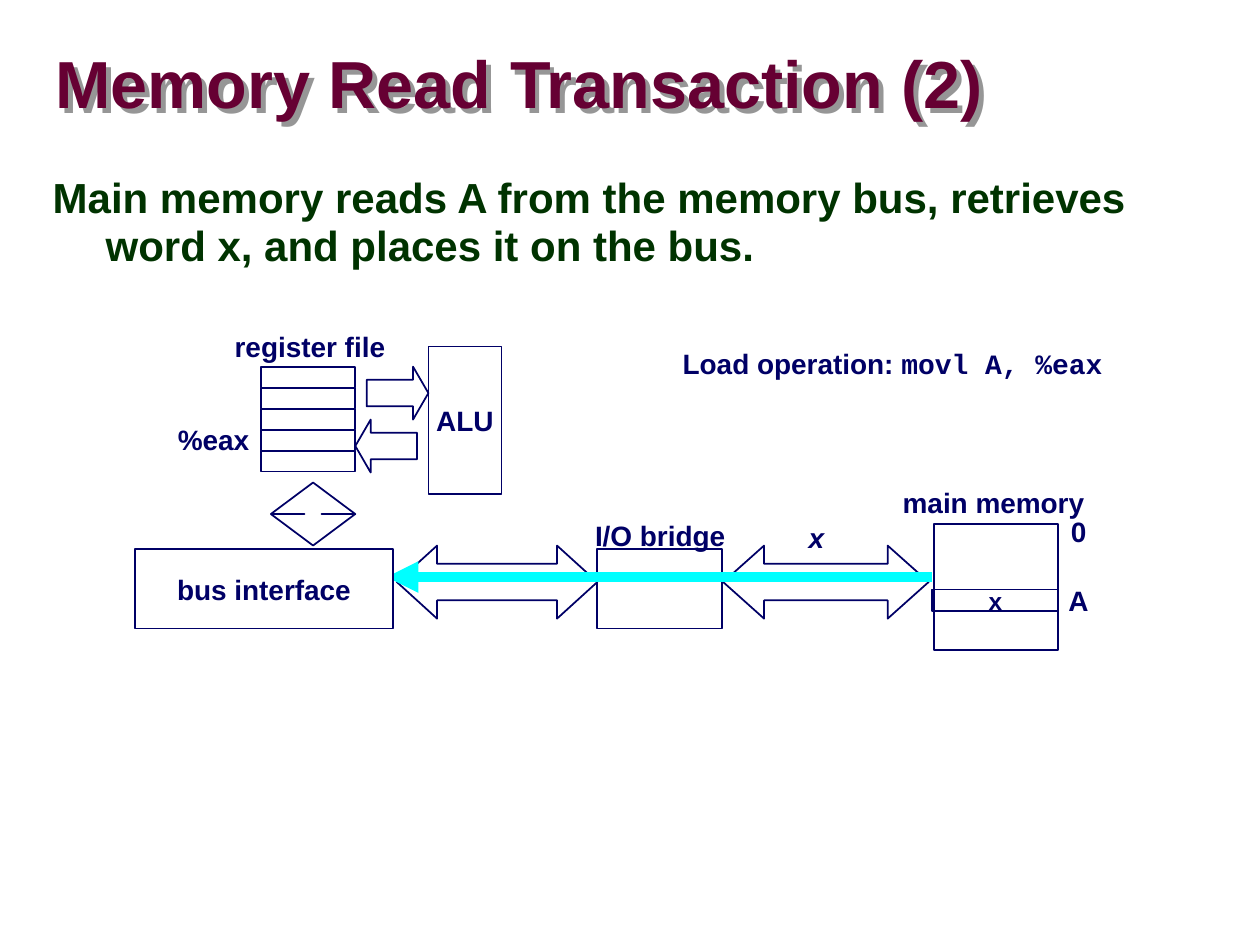
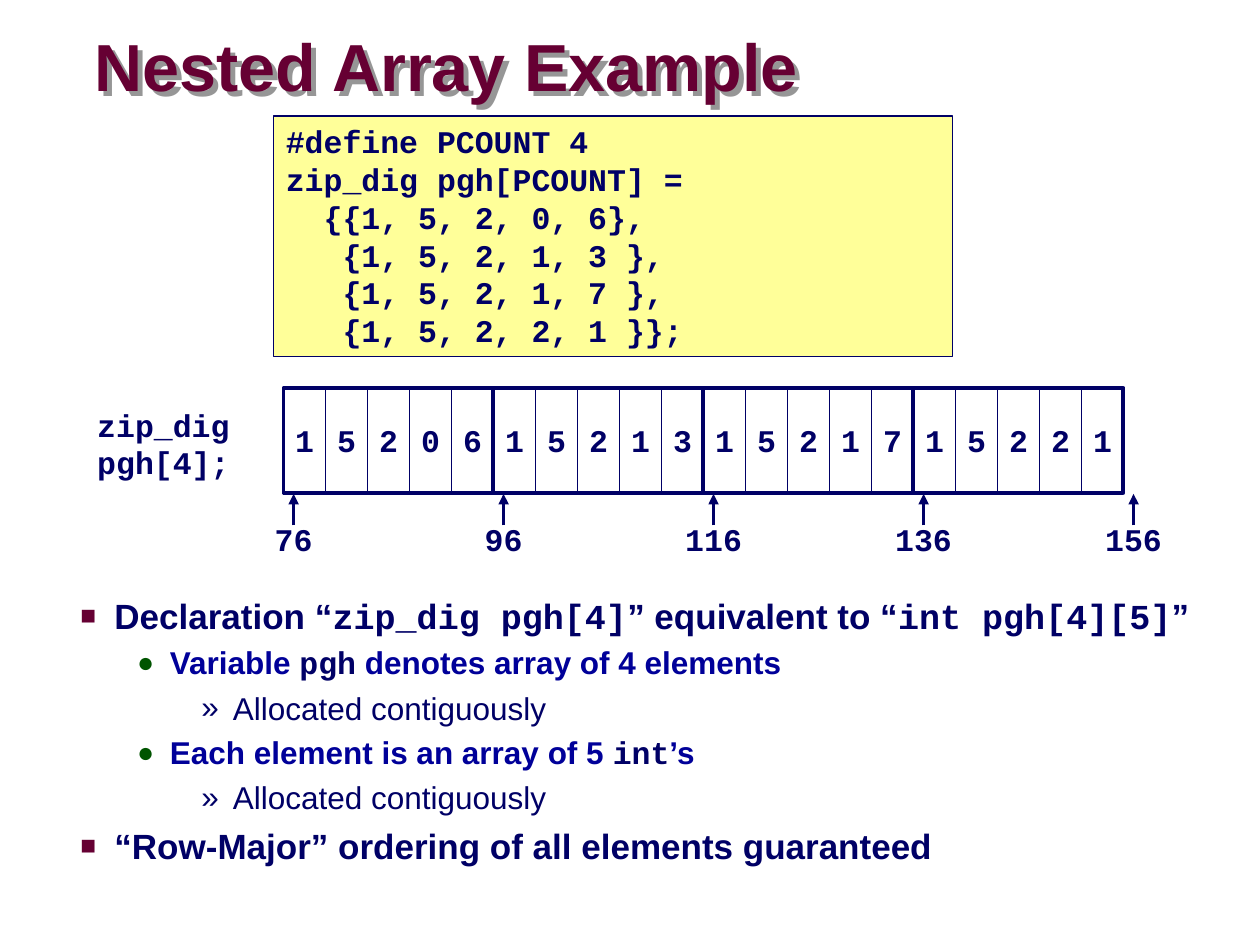
from lxml import etree
from pptx import Presentation
from pptx.dml.color import RGBColor
from pptx.enum.shapes import MSO_CONNECTOR, MSO_SHAPE
from pptx.enum.text import MSO_ANCHOR, PP_ALIGN
from pptx.oxml.ns import qn
from pptx.util import Inches, Pt

RECTANGLE = MSO_SHAPE.RECTANGLE
RIGHT_ARROW, LEFT_ARROW = MSO_SHAPE.RIGHT_ARROW, MSO_SHAPE.LEFT_ARROW
LEFT_RIGHT_ARROW, UP_DOWN_ARROW = MSO_SHAPE.LEFT_RIGHT_ARROW, MSO_SHAPE.UP_DOWN_ARROW
STRAIGHT = MSO_CONNECTOR.STRAIGHT
TOP, MIDDLE = MSO_ANCHOR.TOP, MSO_ANCHOR.MIDDLE
LEFT, CENTER, RIGHT = PP_ALIGN.LEFT, PP_ALIGN.CENTER, PP_ALIGN.RIGHT

# Shared colours and text formats
NAVY, MAROON, GREEN, BLUE = "000066", "660033", "003300", "000099"
BULLET_GREEN, CYAN, YELLOW, WHITE, GRAY = "005400", "00FFFF", "FFFF99", "FFFFFF", "969696"
LABEL = {"name": "Arial", "size": Pt(16), "bold": True, "color": NAVY}
CODE = {**LABEL, "name": "Courier New", "size": Pt(18)}
TITLE = {**LABEL, "size": Pt(38), "color": MAROON}
STATEMENT = {**LABEL, "size": Pt(24), "color": GREEN}
POINT = {**LABEL, "size": Pt(20)}
SUBPOINT = {**LABEL, "size": Pt(18), "color": BLUE}
DETAIL = {**LABEL, "size": Pt(18), "bold": False}

# Outline levels: bullet, its colour and size, indents and spacing
LEVELS = {
    1: {"mark": "■", "color": MAROON, "percent": 75, "left": 0.81, "hang": 0.27,
        "format": {"space_before": Pt(5)}},
    2: {"mark": "●", "color": BULLET_GREEN, "percent": 90, "left": 1.25, "hang": 0.26,
        "format": {"space_before": Pt(2.4), "line_spacing": 1.07}},
    3: {"mark": "»", "color": NAVY, "percent": 100, "left": 1.75, "hang": 0.25,
        "format": {"space_before": Pt(4.2)}},
}


def rgb(color):
    return RGBColor.from_string(color)


def apply_format(target, values):
    for name, value in values.items():
        if name == "color":
            target.color.rgb = rgb(value)
        else:
            setattr(target, name, value)


def add_runs(paragraph, runs):
    for text, style in runs:
        run = paragraph.add_run()
        run.text = text
        apply_format(run.font, style)


def set_text(shape, lines, align=CENTER, anchor=MIDDLE, wrap=False, margins=(0.1, 0.05)):
    """Fill a shape with lines, each a list of (text, style) runs."""
    frame = shape.text_frame
    side, end = map(Inches, margins)
    apply_format(frame, {"word_wrap": wrap, "vertical_anchor": anchor, "margin_left": side,
                         "margin_right": side, "margin_top": end, "margin_bottom": end})
    for index, runs in enumerate(lines):
        paragraph = frame.add_paragraph() if index else frame.paragraphs[0]
        paragraph.alignment = align
        add_runs(paragraph, runs)
    return frame


def add_text(slide, box, lines, **options):
    shape = slide.shapes.add_textbox(*map(Inches, box))
    set_text(shape, lines, **options)
    return shape


def add_label(slide, box, text, style=LABEL):
    return add_text(slide, box, [[(text, style)]])


def add_block(slide, kind, box, fill=None, width=1, adjust=()):
    shape = slide.shapes.add_shape(kind, *map(Inches, box))
    shape.shadow.inherit = False
    if fill:
        shape.fill.solid()
        shape.fill.fore_color.rgb = rgb(fill)
    else:
        shape.fill.background()
    shape.line.color.rgb = rgb(NAVY)
    shape.line.width = Pt(width)
    for index, value in enumerate(adjust):
        shape.adjustments[index] = value
    return shape


def add_arrow(slide, start, end, color, width):
    """Draw a line with a triangle at its end point."""
    points = map(Inches, (*start, *end))
    connector = slide.shapes.add_connector(STRAIGHT, *points)
    connector.line.color.rgb = rgb(color)
    connector.line.width = Pt(width)
    etree.SubElement(connector.line._get_or_add_ln(), qn("a:tailEnd"), type="triangle")
    etree.SubElement(connector._element.spPr, qn("a:effectLst"))


def add_title(slide, box, text):
    shape = add_text(slide, box, [[(text, TITLE)]], align=LEFT, wrap=True, margins=(0, 0))
    shape.text_frame.paragraphs[0].line_spacing = 0.87
    effects = etree.SubElement(shape._element.spPr, qn("a:effectLst"))
    shadow = etree.SubElement(effects, qn("a:outerShdw"), dist=str(Inches(0.055)),
                              dir="2700000", algn="ctr", rotWithShape="0")
    etree.SubElement(shadow, qn("a:srgbClr"), val=GRAY)


def set_indent(paragraph, left, hang):
    properties = paragraph._p.get_or_add_pPr()
    properties.set("marL", str(Inches(left)))
    properties.set("indent", str(-Inches(hang)))
    return properties


def add_outline(slide, box, items):
    """Write a bulleted outline from (level, runs) items."""
    shape = add_text(slide, box, [runs for _, runs in items],
                     align=LEFT, anchor=TOP, wrap=True)
    for index, (number, _) in enumerate(items):
        level = LEVELS[number]
        paragraph = shape.text_frame.paragraphs[index]
        apply_format(paragraph, level["format"])
        if index == 0:
            paragraph.space_before = Pt(0)
        properties = set_indent(paragraph, level["left"], level["hang"])
        color = etree.SubElement(properties, qn("a:buClr"))
        etree.SubElement(color, qn("a:srgbClr"), val=level["color"])
        etree.SubElement(properties, qn("a:buSzPct"), val=str(level["percent"] * 1000))
        etree.SubElement(properties, qn("a:buFont"), typeface="Arial")
        etree.SubElement(properties, qn("a:buChar"), char=level["mark"])


def build_memory_read(slide):
    add_title(slide, (0.44, 0.27, 9.39, 0.85), "Memory Read Transaction (2)")
    statement = add_text(
        slide, (0.32, 1.34, 9.09, 5.71),
        [[("Main memory reads A from the memory bus, retrieves word x, "
           "and places it on the bus.", STATEMENT)]],
        align=LEFT, anchor=TOP, wrap=True)
    paragraph = statement.text_frame.paragraphs[0]
    paragraph.line_spacing = 0.95
    set_indent(paragraph, 0.42, 0.42)

    # Buses and I/O bridge
    add_block(slide, LEFT_RIGHT_ARROW, (5.74, 4.33, 1.63, 0.58), adjust=(0.5, 0.56))
    add_block(slide, RECTANGLE, (4.74, 4.36, 0.99, 0.63))
    add_block(slide, LEFT_RIGHT_ARROW, (3.15, 4.33, 1.59, 0.58), adjust=(0.5, 0.55))

    # Register file and ALU
    for row in range(5):
        add_block(slide, RECTANGLE, (2.07, 2.91 + row / 6, 0.75, 1 / 6))
    add_block(slide, RIGHT_ARROW, (2.91, 2.91, 0.49, 0.42), adjust=(0.5, 0.29))
    add_block(slide, LEFT_ARROW, (2.82, 3.33, 0.49, 0.42), adjust=(0.5, 0.29))
    alu = add_block(slide, RECTANGLE, (3.4, 2.75, 0.58, 1.17))
    set_text(alu, [[("ALU", LABEL)]])
    add_block(slide, UP_DOWN_ARROW, (2.15, 3.83, 0.67, 0.5), adjust=(0.5, 0.2))

    # Data path from memory to the bus interface
    add_arrow(slide, (7.4, 4.58), (3.07, 4.58), CYAN, 6)
    interface = add_block(slide, RECTANGLE, (1.07, 4.36, 2.05, 0.63), fill=WHITE)
    set_text(interface, [[("bus interface", LABEL)]])

    # Main memory
    add_block(slide, RECTANGLE, (7.41, 4.16, 0.99, 1))
    word = add_block(slide, RECTANGLE, (7.4, 4.68, 1, 0.17))
    set_text(word, [[("x", {**LABEL, "size": Pt(14)})]])

    # Labels
    add_label(slide, (6.32, 4.08, 0.32, 0.37), "x", {**LABEL, "italic": True})
    for text, box in (
        ("register file", (1.76, 2.56, 1.4, 0.37)),
        ("0", (8.4, 4.03, 0.32, 0.37)),
        ("A", (8.38, 4.58, 0.36, 0.37)),
        ("main memory", (7.06, 3.8, 1.65, 0.37)),
        ("%eax", (1.31, 3.3, 0.77, 0.37)),
        ("I/O bridge", (4.62, 4.06, 1.24, 0.37)),
    ):
        add_label(slide, box, text)
    add_text(slide, (5.32, 2.7, 3.54, 0.64),
             [[("Load operation: ", LABEL), ("movl A, %eax", {**CODE, "size": Pt(16)})]],
             align=LEFT, anchor=TOP)


def build_nested_array(slide):
    add_title(slide, (0.75, 0.25, 6.97, 0.63), "Nested Array Example")
    point_code = {**CODE, "size": Pt(20)}
    add_outline(slide, (0, 4.67, 9.83, 2.08), [
        (1, [("Declaration “", POINT), ("zip_dig pgh[4]", point_code),
             ("” equivalent to “", POINT), ("int pgh[4][5]", point_code), ("”", POINT)]),
        (2, [("Variable ", SUBPOINT), ("pgh", CODE),
             (" denotes array of 4 elements", SUBPOINT)]),
        (3, [("Allocated contiguously", DETAIL)]),
        (2, [("Each element is an array of 5 ", SUBPOINT), ("int", CODE), ("’s", SUBPOINT)]),
        (3, [("Allocated contiguously", DETAIL)]),
        (1, [("“Row-Major” ordering of all elements guaranteed", POINT)]),
    ])

    # Declaration code
    listing = (
        "#define PCOUNT 4",
        "zip_dig pgh[PCOUNT] =",
        "  {{1, 5, 2, 0, 6},",
        "   {1, 5, 2, 1, 3 },",
        "   {1, 5, 2, 1, 7 },",
        "   {1, 5, 2, 2, 1 }};",
    )
    code_box = add_block(slide, RECTANGLE, (2.17, 0.92, 5.39, 1.91), fill=YELLOW)
    set_text(code_box, [[(line, CODE)] for line in listing],
             align=LEFT, anchor=TOP, wrap=True)
    add_text(slide, (0.67, 3.17, 1.25, 0.7), [[("zip_dig", CODE)], [("pgh[4];", CODE)]],
             align=RIGHT, anchor=TOP)

    # Array layout in memory: digits, row outlines and addresses
    left, top, height, cell = 2.25, 3.08, 0.83, 1 / 3
    zip_codes = ("15206", "15213", "15217", "15221")
    row_width = 5 * cell
    for index, digit in enumerate("".join(zip_codes)):
        box = add_block(slide, RECTANGLE, (left + index * cell, top, cell, height), fill=WHITE)
        set_text(box, [[(digit, CODE)]])
    for row in range(len(zip_codes)):
        add_block(slide, RECTANGLE, (left + row * row_width, top, row_width, height), width=2.25)
    for row, address in enumerate(range(76, 157, 20)):
        x = 2.33 + row * row_width
        add_arrow(slide, (x, 4.17), (x, 3.92), NAVY, 2)
        add_label(slide, (x - 0.33, 4.08, 0.66, 0.4), str(address), CODE)


def main():
    presentation = Presentation()
    presentation.slide_width = Inches(10)
    presentation.slide_height = Inches(7.5)
    blank = presentation.slide_layouts[6]
    for build in (build_memory_read, build_nested_array):
        build(presentation.slides.add_slide(blank))
    presentation.save("out.pptx")


if __name__ == "__main__":
    main()
